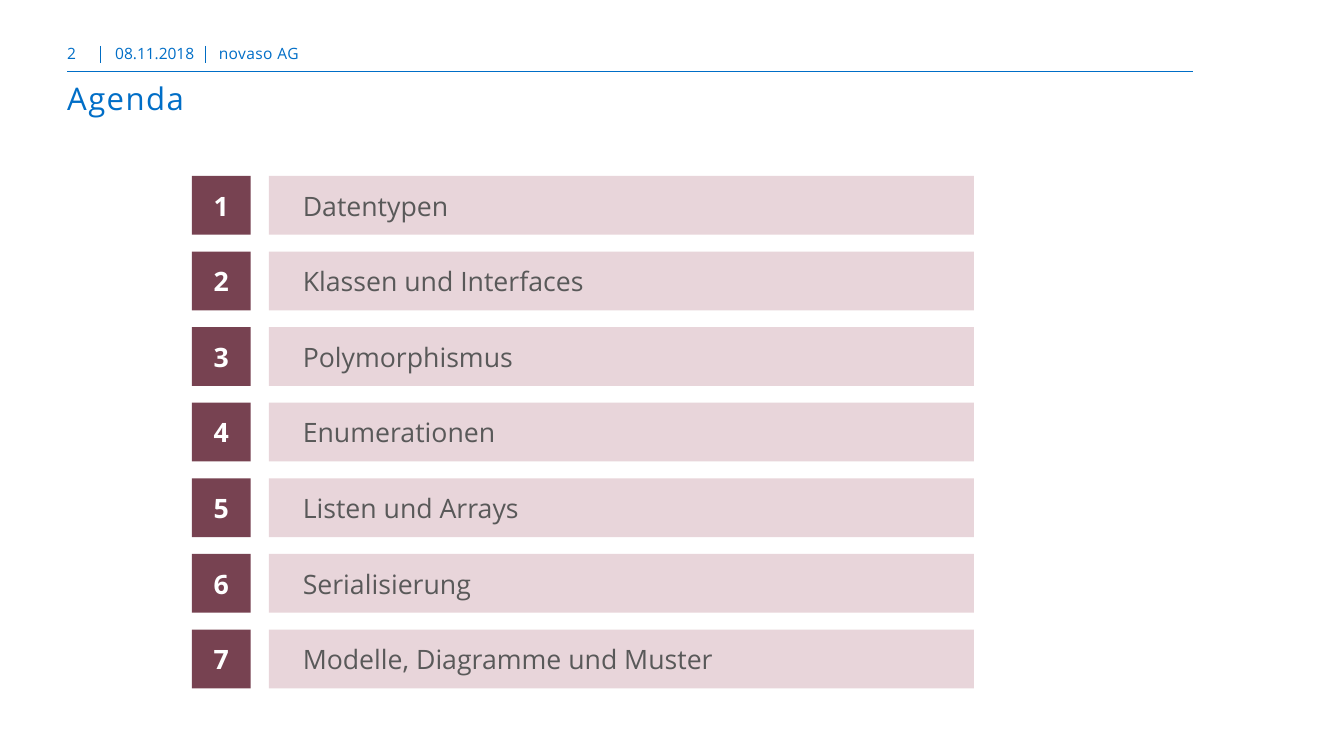
from dataclasses import dataclass

from lxml import etree
from pptx import Presentation
from pptx.dml.color import RGBColor
from pptx.enum import shapes, text
from pptx.oxml import ns
from pptx.util import Cm, Pt

COLORS = {
    "blue": "006EC7",
    "tick": "006CC3",
    "plum": "774251",
    "rose": "E8D5DA",
    "gray": "595959",
    "white": "FFFFFF",
}
FONT = "Open Sans"
TOPICS = [
    "Datentypen",
    "Klassen und Interfaces",
    "Polymorphismus",
    "Enumerationen",
    "Listen und Arrays",
    "Serialisierung",
    "Modelle, Diagramme und Muster",
]

# Agenda grid, in centimetres
ROW_TOP, ROW_PITCH, ROW_HEIGHT = 4.19, 1.8, 1.4
NUMBER_LEFT, TOPIC_LEFT, TOPIC_WIDTH, TOPIC_INDENT = 4.57, 6.4, 16.79, 0.81


@dataclass(frozen=True)
class Rule:
    x1: float
    y1: float
    x2: float
    y2: float
    color: str
    weight: float


@dataclass(frozen=True)
class Label:
    content: str
    left: float
    top: float
    width: float
    height: float
    size: float = 10.5
    inset_top: float = 0.05
    spacing: float = 0
    centered: bool = False


RULES = [
    Rule(1.6, 1.7, 28.4, 1.7, "blue", 1),
    Rule(2.39, 1.09, 2.39, 1.5, "tick", 0.75),
    Rule(4.9, 1.09, 4.9, 1.5, "tick", 0.75),
]
LABELS = [
    Label("Agenda", 1.6, 1.8, 26.8, 1.93, size=21, inset_top=0.1, spacing=1),
    Label("2", 1.6, 0.99, 0.79, 0.61),
    Label("08.11.2018", 2.54, 0.99, 2.29, 0.61, centered=True),
    Label("novaso AG", 5.21, 0.99, 23.19, 0.61, spacing=0.3),
]


def rgb(name: str) -> RGBColor:
    return RGBColor.from_string(COLORS[name])


def write_text(shape, content: str, *, size: float, color: str,
               bold: bool = False, centered: bool = False,
               middle: bool = False, spacing: float = 0,
               inset_left: float = 0, inset_top: float = 0) -> None:
    frame = shape.text_frame
    frame.word_wrap = True
    frame.margin_left, frame.margin_top = Cm(inset_left), Cm(inset_top)
    frame.margin_right = frame.margin_bottom = 0
    frame.vertical_anchor = (
        text.MSO_ANCHOR.MIDDLE if middle else text.MSO_ANCHOR.TOP)
    paragraph = frame.paragraphs[0]
    paragraph.alignment = (
        text.PP_ALIGN.CENTER if centered else text.PP_ALIGN.LEFT)
    run = paragraph.add_run()
    run.text = content
    run.font.name, run.font.size, run.font.bold = FONT, Pt(size), bold
    run.font.color.rgb = rgb(color)
    if spacing:
        run.font._element.set("spc", str(round(spacing * 100)))


def add_rule(slide, rule: Rule) -> None:
    connector = slide.shapes.add_connector(
        shapes.MSO_CONNECTOR.STRAIGHT,
        Cm(rule.x1), Cm(rule.y1), Cm(rule.x2), Cm(rule.y2))
    connector.line.color.rgb = rgb(rule.color)
    connector.line.width = Pt(rule.weight)
    etree.SubElement(connector._element.spPr, ns.qn("a:effectLst"))


def add_label(slide, label: Label) -> None:
    box = slide.shapes.add_textbox(
        Cm(label.left), Cm(label.top), Cm(label.width), Cm(label.height))
    write_text(box, label.content, size=label.size, color="blue",
               centered=label.centered, spacing=label.spacing,
               inset_top=label.inset_top)


def add_block(slide, left: float, top: float, width: float, fill: str):
    """Add a borderless rectangle of row height and return it."""
    block = slide.shapes.add_shape(
        shapes.MSO_SHAPE.RECTANGLE,
        Cm(left), Cm(top), Cm(width), Cm(ROW_HEIGHT))
    block.shadow.inherit = False
    block.fill.solid()
    block.fill.fore_color.rgb = rgb(fill)
    block.line.fill.background()
    return block


def add_agenda_row(slide, number: int, topic: str) -> None:
    top = ROW_TOP + (number - 1) * ROW_PITCH
    number_block = add_block(slide, NUMBER_LEFT, top, ROW_HEIGHT, "plum")
    write_text(number_block, str(number), size=18, color="white", bold=True,
               centered=True, middle=True)
    topic_block = add_block(slide, TOPIC_LEFT, top, TOPIC_WIDTH, "rose")
    write_text(topic_block, topic, size=18, color="gray", middle=True,
               inset_left=TOPIC_INDENT)


def main() -> None:
    presentation = Presentation()
    presentation.slide_width, presentation.slide_height = Cm(32), Cm(18)
    slide = presentation.slides.add_slide(presentation.slide_layouts[6])
    for rule in RULES:
        add_rule(slide, rule)
    for label in LABELS:
        add_label(slide, label)
    for number, topic in enumerate(TOPICS, start=1):
        add_agenda_row(slide, number, topic)
    presentation.save("out.pptx")


if __name__ == "__main__":
    main()
